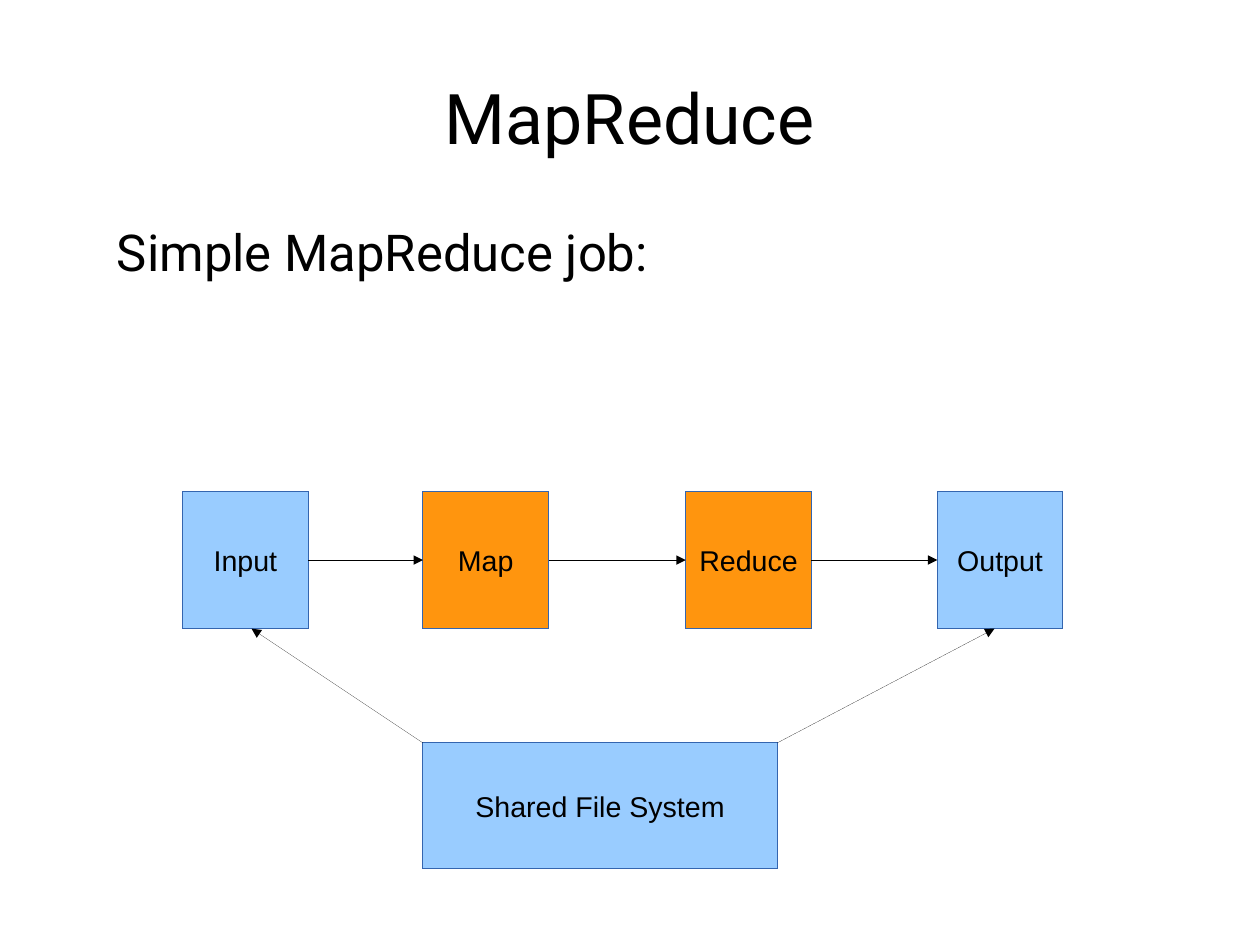
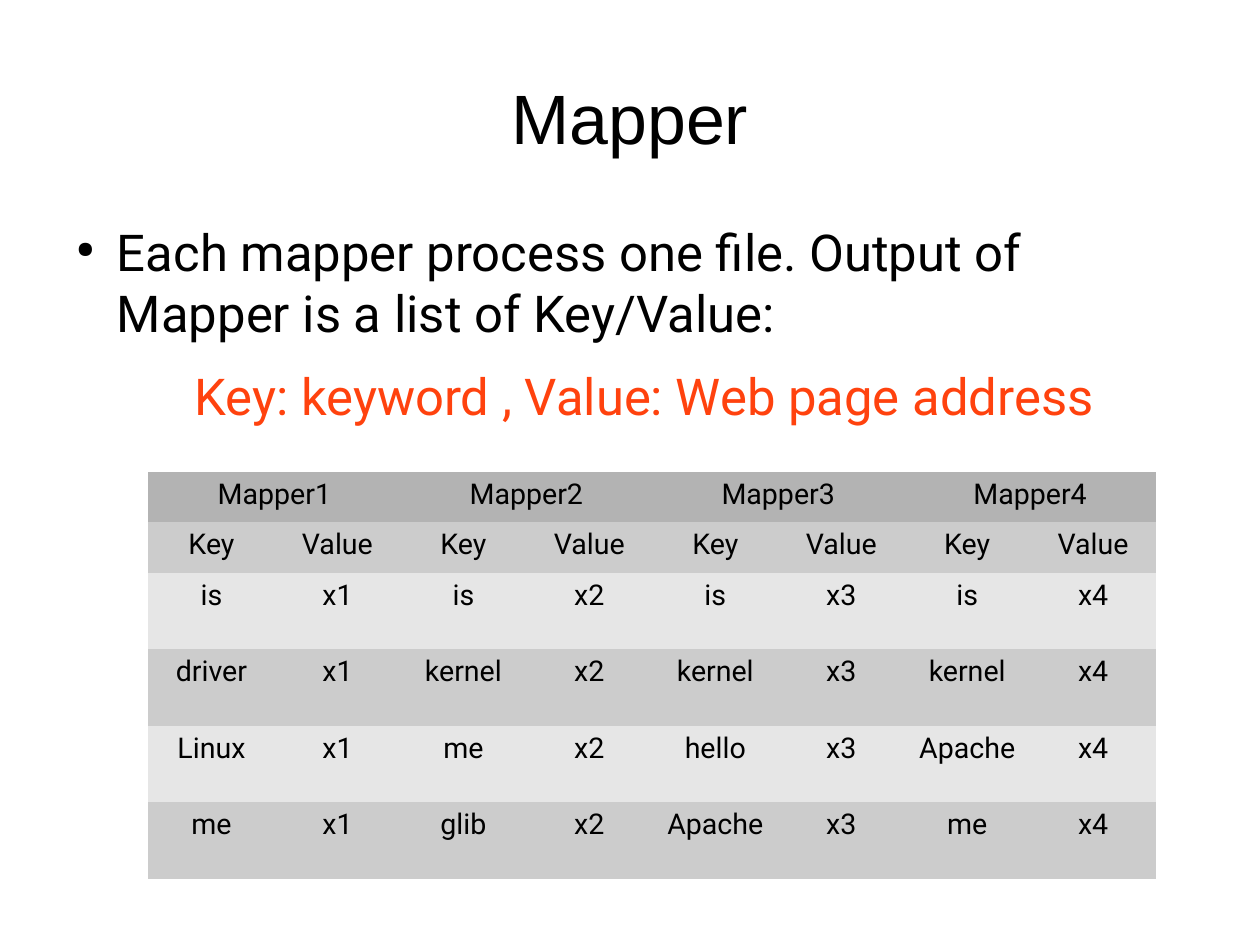
import dataclasses

import lxml.etree
import pptx
import pptx.dml.color
import pptx.enum.shapes
import pptx.enum.text
import pptx.oxml.ns
import pptx.util

Cm = pptx.util.Cm
Pt = pptx.util.Pt
qn = pptx.oxml.ns.qn
Shape = pptx.enum.shapes.MSO_SHAPE
Align = pptx.enum.text.PP_ALIGN
Anchor = pptx.enum.text.MSO_ANCHOR


@dataclasses.dataclass(frozen=True)
class Theme:
    sans: str = "Roboto"
    plain: str = "Arial"
    ink: str = "000000"
    accent: str = "FF420E"
    storage: str = "99CCFF"
    process: str = "FF950E"
    outline: str = "3465AF"
    heading_row: str = "B3B3B3"
    dark_row: str = "CCCCCC"
    light_row: str = "E6E6E6"
    title_size: int = 44
    body_size: int = 32
    label_size: int = 18
    hairline: float = 0.01
    no_grid_style: str = "{2D5ABB26-0587-4C30-8999-92F81FD0307C}"


def rgb(value):
    return pptx.dml.color.RGBColor.from_string(value)


class Deck:
    def __init__(self, theme):
        self.theme = theme
        self.presentation = pptx.Presentation()
        self.presentation.slide_width = Cm(28)
        self.presentation.slide_height = Cm(21)
        self.slide = None

    def style(self, paragraph, size, font, color=None, align=Align.CENTER):
        paragraph.alignment = align
        for run in paragraph.runs:
            run.font.size = Pt(size)
            run.font.name = font
            run.font.color.rgb = rgb(color or self.theme.ink)

    def clear_margins(self, frame):
        frame.margin_left = frame.margin_right = 0
        frame.margin_top = frame.margin_bottom = 0
        frame.word_wrap = True
        frame.auto_size = pptx.enum.text.MSO_AUTO_SIZE.NONE

    def add_slide(self, heading, font):
        self.slide = self.presentation.slides.add_slide(self.presentation.slide_layouts[5])
        title = self.slide.shapes.title
        title.left, title.top, title.width, title.height = Cm(1.4), Cm(0.84), Cm(25.2), Cm(3.5)
        frame = title.text_frame
        self.clear_margins(frame)
        frame.vertical_anchor = Anchor.MIDDLE
        frame.text = heading
        self.style(frame.paragraphs[0], self.theme.title_size, font)

    def add_body(self, height):
        body = self.slide.shapes.add_textbox(Cm(1.4), Cm(4.9), Cm(24.64), Cm(height))
        self.clear_margins(body.text_frame)
        return body.text_frame

    def write_body(self, paragraph, text, color=None, align=Align.LEFT, bullet=False):
        paragraph.text = text
        paragraph.space_after = Pt(14.2)
        properties = paragraph._p.get_or_add_pPr()
        properties.set("marL", str(Cm(1.2)))
        properties.set("indent", str(Cm(-0.9) if bullet else 0))
        if bullet:
            tint = lxml.etree.SubElement(properties, qn("a:buClr"))
            lxml.etree.SubElement(tint, qn("a:srgbClr"), val=self.theme.ink)
            lxml.etree.SubElement(properties, qn("a:buSzPct"), val="45000")
            lxml.etree.SubElement(properties, qn("a:buChar"), char="●")
        self.style(paragraph, self.theme.body_size, self.theme.sans, color, align)

    def add_box(self, text, left, top, width, height, fill, preset=Shape.FLOWCHART_PROCESS):
        box = self.slide.shapes.add_shape(preset, Cm(left), Cm(top), Cm(width), Cm(height))
        box.shadow.inherit = False
        box.fill.solid()
        box.fill.fore_color.rgb = rgb(fill)
        box.line.color.rgb = rgb(self.theme.outline)
        box.line.width = Pt(self.theme.hairline)
        frame = box.text_frame
        frame.word_wrap = False
        frame.vertical_anchor = Anchor.MIDDLE
        frame.text = text
        self.style(frame.paragraphs[0], self.theme.label_size, self.theme.plain)
        return box

    def add_arrow(self, start_x, start_y, end_x, end_y):
        arrow = self.slide.shapes.add_connector(
            pptx.enum.shapes.MSO_CONNECTOR.STRAIGHT, start_x, start_y, end_x, end_y)
        arrow.line.color.rgb = rgb(self.theme.ink)
        arrow.line.width = Pt(self.theme.hairline)
        properties = arrow._element.spPr
        lxml.etree.SubElement(properties.find(qn("a:ln")), qn("a:tailEnd"), type="triangle")
        lxml.etree.SubElement(properties, qn("a:effectLst"))
        return arrow

    def link_boxes(self, source, target):
        middle = source.top + source.height // 2
        arrow = self.add_arrow(source.left + source.width, middle, target.left, middle)
        arrow.begin_connect(source, 3)
        arrow.end_connect(target, 1)

    def add_table(self, rows, fills, heights, left, top, column_width):
        columns = len(rows[0])
        table = self.slide.shapes.add_table(
            len(rows), columns, Cm(left), Cm(top),
            Cm(column_width * columns), Cm(sum(heights))).table
        table.first_row = table.horz_banding = False
        table._tbl.tblPr.find(qn("a:tableStyleId")).text = self.theme.no_grid_style
        for column in table.columns:
            column.width = Cm(column_width)
        for row, texts, fill, height in zip(table.rows, rows, fills, heights):
            row.height = Cm(height)
            for cell, text in zip(row.cells, texts):
                cell.fill.solid()
                cell.fill.fore_color.rgb = rgb(fill)
                cell.text = text
                self.style(cell.text_frame.paragraphs[0], self.theme.label_size, self.theme.sans)
        return table


def build_job_slide(deck):
    theme = deck.theme
    deck.add_slide("MapReduce", theme.sans)
    body = deck.add_body(12.17)
    deck.write_body(body.paragraphs[0], "Simple MapReduce job:")
    stages = [
        ("Input", 4.06, theme.storage),
        ("Map", 9.4, theme.process),
        ("Reduce", 15.24, theme.process),
        ("Output", 20.83, theme.storage),
    ]
    boxes = [deck.add_box(name, left, 10.92, 2.79, 3.05, fill) for name, left, fill in stages]
    for source, target in zip(boxes, boxes[1:]):
        deck.link_boxes(source, target)
    storage = deck.add_box("Shared File System", 9.4, 16.51, 7.87, 2.79,
                           theme.storage, Shape.RECTANGLE)
    stage_bottom = boxes[0].top + boxes[0].height
    deck.add_arrow(storage.left, storage.top, Cm(5.59), stage_bottom)
    deck.add_arrow(storage.left + storage.width, storage.top, Cm(22.1), stage_bottom)


def build_mapper_slide(deck):
    theme = deck.theme
    deck.add_slide("Mapper", theme.plain)
    body = deck.add_body(14.66)
    deck.write_body(
        body.paragraphs[0],
        "Each mapper process one file. Output of Mapper is a list of Key/Value:",
        bullet=True)
    deck.write_body(body.add_paragraph(), "Key: keyword , Value: Web page address",
                    theme.accent, Align.CENTER)
    mapper_keys = [
        ("is", "driver", "Linux", "me"),
        ("is", "kernel", "me", "glib"),
        ("is", "kernel", "hello", "Apache"),
        ("is", "kernel", "Apache", "me"),
    ]
    headings, labels = [], []
    records = [[] for _ in mapper_keys[0]]
    for number, keys in enumerate(mapper_keys, 1):
        headings += [f"Mapper{number}", ""]
        labels += ["Key", "Value"]
        for record, key in zip(records, keys):
            record += [key, f"x{number}"]
    fills = [theme.heading_row, theme.dark_row] + [theme.light_row, theme.dark_row] * 2
    heights = [1.12] * 2 + [1.7] * len(records)
    table = deck.add_table([headings, labels, *records], fills, heights, 3.3, 10.49, 2.8)
    for column in range(0, len(headings), 2):
        table.cell(0, column).merge(table.cell(0, column + 1))


def main():
    deck = Deck(Theme())
    build_job_slide(deck)
    build_mapper_slide(deck)
    deck.presentation.save("out.pptx")


if __name__ == "__main__":
    main()
